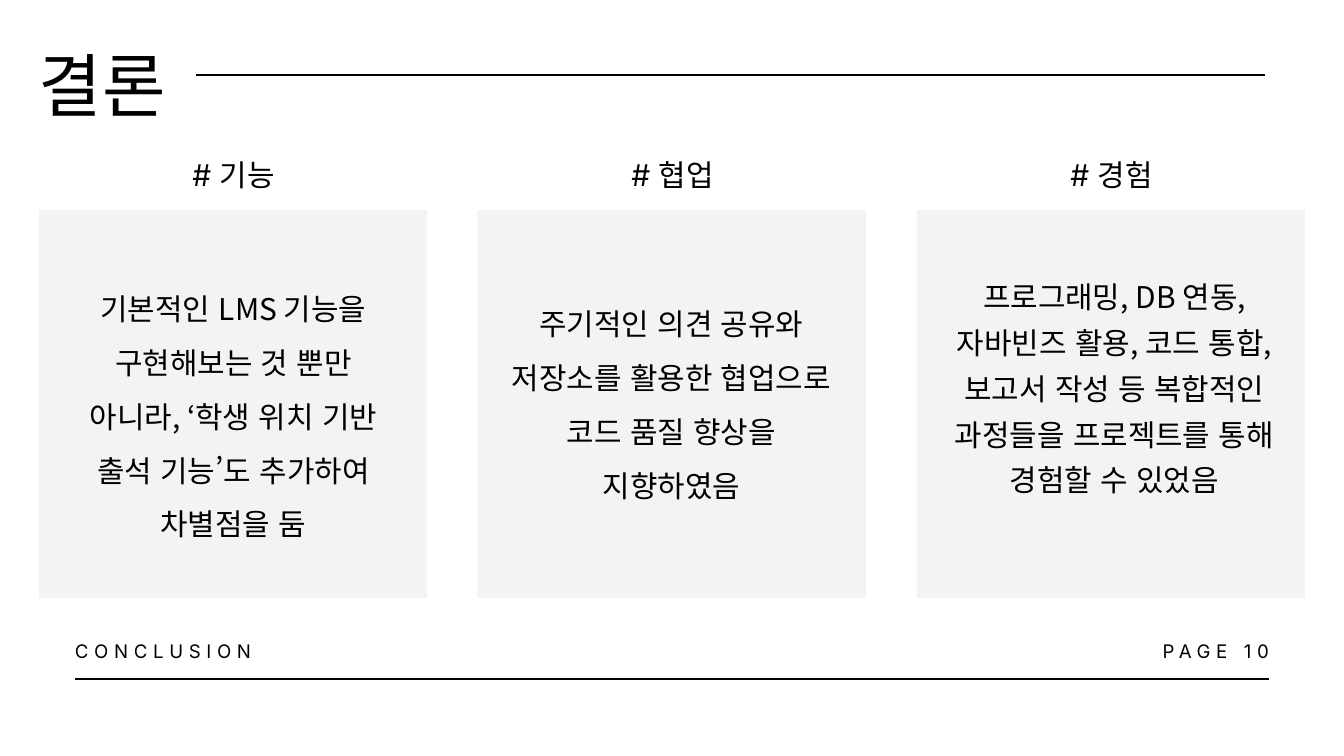
"""Build the conclusion slide with three summary cards."""
from dataclasses import dataclass

from lxml import etree
from pptx import Presentation
from pptx import util as u
from pptx.dml.color import RGBColor
from pptx.enum import lang, shapes, text
from pptx.oxml import ns

PX = 914400 / 67.2


@dataclass(frozen=True)
class Theme:
    """Hold the colours, fonts and text styles of the slide."""
    ink: RGBColor = RGBColor(0, 0, 0)
    card: RGBColor = RGBColor(0xF4, 0xF2, 0xF2)
    rule_width: float = 1.5
    hangul: str = "Noto Sans CJK KR"

    def style(self, role):
        """Return the font values and line spacing of a role."""
        name, size, leading = {
            "title": ("Arial", 73.8, 103.3),
            "heading": ("Inter", 32, 35),
            "body": (self.hangul, 32, 57.6),
            "dense": (self.hangul, 32, 49),
            "footer": ("Inter", 20, 28),
        }[role]
        font = {"name": name, "size": u.Pt(size), "bold": False,
                "language_id": lang.MSO_LANGUAGE_ID.KOREAN}
        return font, u.Pt(leading)


class SlideBuilder:
    """Draw styled elements on the current slide."""

    def __init__(self, slide, theme):
        """Keep the slide and its theme."""
        self.slide = slide
        self.theme = theme

    def place(self, *lengths):
        """Turn px lengths into EMU."""
        return [u.Emu(round(length * PX)) for length in lengths]

    def fill_text(self, shape, words, role, align):
        """Fill a shape with one styled paragraph."""
        frame = shape.text_frame
        frame_format = {
            "margin_left": 0, "margin_right": 0, "margin_top": 0, "margin_bottom": 0,
            "word_wrap": True, "vertical_anchor": text.MSO_ANCHOR.TOP,
            "auto_size": text.MSO_AUTO_SIZE.SHAPE_TO_FIT_TEXT,
        }
        for key, value in frame_format.items():
            setattr(frame, key, value)
        font_format, leading = self.theme.style(role)
        paragraph = frame.paragraphs[0]
        paragraph.alignment = align
        paragraph.line_spacing = leading
        run = paragraph.add_run()
        run.text = words
        for key, value in font_format.items():
            setattr(run.font, key, value)
        run.font.color.rgb = self.theme.ink
        properties = run._r.get_or_add_rPr()
        etree.SubElement(properties, ns.qn("a:ea"), typeface=self.theme.hangul)
        if role == "footer":
            properties.set("spc", "600")

    def title(self, words, left, top, width, height):
        """Move and fill the title placeholder."""
        shape = self.slide.shapes.title
        shape.left, shape.top, shape.width, shape.height = self.place(left, top, width, height)
        self.fill_text(shape, words, "title", text.PP_ALIGN.LEFT)

    def label(self, words, role, align, left, top, width, height):
        """Add a text box."""
        shape = self.slide.shapes.add_textbox(*self.place(left, top, width, height))
        self.fill_text(shape, words, role, align)

    def card(self, left, top, side):
        """Add a square card."""
        shape = self.slide.shapes.add_shape(
            shapes.MSO_SHAPE.RECTANGLE, *self.place(left, top, side, side))
        shape.shadow.inherit = False
        shape.fill.solid()
        shape.fill.fore_color.rgb = self.theme.card
        shape.line.fill.background()

    def rule(self, left, right, y):
        """Add a horizontal line."""
        line = self.slide.shapes.add_connector(
            shapes.MSO_CONNECTOR.STRAIGHT, *self.place(left, y, right, y))
        line.line.color.rgb = self.theme.ink
        line.line.width = u.Pt(self.theme.rule_width)
        etree.SubElement(line._element.spPr, ns.qn("a:effectLst"))


def main():
    """Build and save the slide."""
    presentation = Presentation()
    presentation.slide_width = u.Inches(20)
    presentation.slide_height = u.Inches(11.25)
    slide = presentation.slides.add_slide(presentation.slide_layouts[5])
    builder = SlideBuilder(slide, Theme())
    align = text.PP_ALIGN

    builder.title("결론", 39, 29, 671, 93)
    builder.rule(196, 1265, 75)
    builder.rule(75, 1269, 679)
    builder.label("CONCLUSION", "footer", align.LEFT, 75, 636, 218, 24)
    builder.label("PAGE 10", "footer", align.RIGHT, 1051, 636, 218, 24)

    cards = [
        ("# 기능", "기본적인 LMS 기능을 구현해보는 것 뿐만 아니라, ‘학생 위치 기반 "
         "출석 기능’도 추가하여 차별점을 둠", "body", 71, 273, 263),
        ("# 협업", "주기적인 의견 공유와 저장소를 활용한 협업으로 코드 품질 향상을 "
         "지향하였음", "body", 509, 288, 209),
        ("# 경험", "프로그래밍, DB 연동, 자바빈즈 활용, 코드 통합, 보고서 작성 등 "
         "복합적인 과정들을 프로젝트를 통해 경험할 수 있었음", "dense", 952, 269, 271),
    ]
    for index, (heading, body, role, left, top, height) in enumerate(cards):
        offset = index * 439
        builder.card(39 + offset, 210, 388)
        builder.label(heading, "heading", align.CENTER, 109 + offset, 160, 249, 33)
        builder.label(body, role, align.CENTER, left, top, 325, height)

    presentation.save("out.pptx")


if __name__ == "__main__":
    main()
